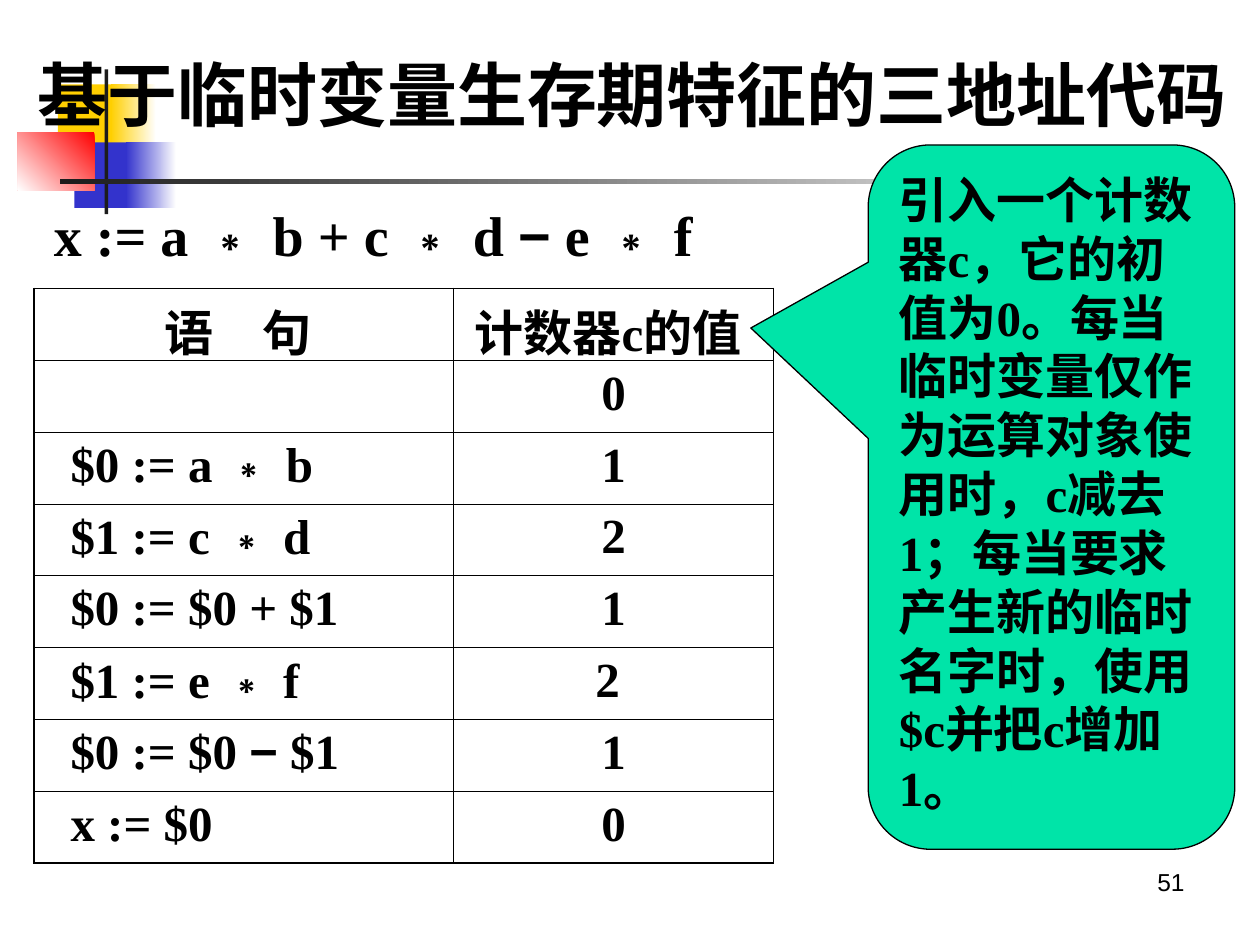
from itertools import groupby

from lxml.etree import SubElement
from pptx import Presentation
from pptx.dml.color import RGBColor
from pptx.enum.shapes import MSO_SHAPE as SHAPE
from pptx.enum.text import MSO_ANCHOR as ANCHOR, PP_ALIGN as ALIGN
from pptx.oxml.ns import qn
from pptx.util import Inches, Pt

BLACK = RGBColor(0x00, 0x00, 0x00)
WHITE = RGBColor(0xFF, 0xFF, 0xFF)
YELLOW = RGBColor(0xFF, 0xCF, 0x01)
BLUE = RGBColor(0x33, 0x33, 0xCC)
RED = RGBColor(0xFF, 0x00, 0x00)
CHARCOAL = RGBColor(0x1C, 0x1C, 0x1C)
MINT = RGBColor(0x00, 0xE4, 0xA8)

SERIF, SANS = "Times New Roman", "Arial"
MATH_SIGNS = "∗−"
THIN, THICK = Pt(0.45), Pt(1.08)

ROWS = [
    ("语　句 ", "计数器c的值 "),
    ("", "0"),
    ("$0 := a ∗ b", "1"),
    ("$1 := c ∗ d", "2"),
    ("$0 := $0 + $1", "1"),
    ("$1 := e ∗ f", "2 "),
    ("$0 := $0 − $1", "1"),
    ("x := $0", "0"),
]
COUNTER_RULE = ("引入一个计数器c，它的初值为0。每当临时变量仅作为运算对象使用时，"
                "c减去1；每当要求产生新的临时名字时，使用$c并把c增加1。")


class Slide:
    """The current slide and its style."""

    def __init__(self, prs):
        self.s = prs.slides.add_slide(prs.slide_layouts[6])

    def fill_text(self, tf, text, size, align=ALIGN.LEFT, font=SERIF, bold=True):
        """Fill a frame with one paragraph; math signs get the sans font."""
        tf.word_wrap = True
        p = tf.paragraphs[0]
        p.alignment = align
        p.font.name, p.font.size, p.font.bold = font, Pt(size), bold
        p.font.color.rgb = BLACK
        for is_sign, chars in groupby(text, lambda ch: ch in MATH_SIGNS):
            r = p.add_run()
            r.text = "".join(chars)
            if is_sign:
                r.font.name = SANS

    def text(self, box, text, size, anchor=ANCHOR.TOP, **style):
        tf = self.s.shapes.add_textbox(*map(Inches, box)).text_frame
        tf.vertical_anchor = anchor
        self.fill_text(tf, text, size, **style)

    def shape(self, kind, box, color):
        sp = self.s.shapes.add_shape(kind, *map(Inches, box))
        sp.shadow.inherit = False
        sp.fill.solid()
        sp.fill.fore_color.rgb = color
        sp.line.fill.background()
        return sp

    def fade(self, box, start, end, angle=180):
        fill = self.shape(SHAPE.RECTANGLE, box, start).fill
        fill.gradient()
        fill.gradient_angle = angle
        for stop, color in zip(fill.gradient_stops, (start, end)):
            stop.color.rgb = color

    def callout(self, box, text, size, color, adjustments):
        sp = self.shape(SHAPE.ROUNDED_RECTANGULAR_CALLOUT, box, color)
        sp.line.color.rgb = BLACK
        sp.line.width = Pt(0.75)
        for i, value in enumerate(adjustments):
            sp.adjustments[i] = value
        sp.text_frame.vertical_anchor = ANCHOR.TOP
        self.fill_text(sp.text_frame, text, size)

    def border(self, cell, side, width):
        ln = SubElement(cell._tc.get_or_add_tcPr(), qn(f"a:ln{side}"), w=str(width))
        SubElement(SubElement(ln, qn("a:solidFill")), qn("a:srgbClr"), val=str(BLACK))

    def table(self, left, top, widths, row_height, rows, size):
        n, m = len(rows), len(widths)
        frame = self.s.shapes.add_table(n, m, Inches(left), Inches(top),
                                        Inches(sum(widths)), Inches(row_height * n))
        tbl = frame.table
        tbl.first_row = tbl.horz_banding = False
        for column, width in zip(tbl.columns, widths):
            column.width = Inches(width)
        for i, row in enumerate(rows):
            tbl.rows[i].height = Inches(row_height)
            for j, text in enumerate(row):
                cell = tbl.cell(i, j)
                # Thick outer frame, thin inner grid
                outer = {"L": j == 0, "R": j == m - 1, "T": i == 0, "B": i == n - 1}
                for side, is_outer in outer.items():
                    self.border(cell, side, THICK if is_outer else THIN)
                cell.fill.background()
                # Statements are indented, everything else is centred
                is_statement = i > 0 and j == 0
                if is_statement:
                    cell.margin_left = Inches(0.29)
                self.fill_text(cell.text_frame, text, size,
                               ALIGN.LEFT if is_statement else ALIGN.CENTER)


def main():
    prs = Presentation()
    prs.slide_width, prs.slide_height = Inches(10), Inches(7.5)
    slide = Slide(prs)

    # Corner decoration and title rule
    slide.shape(SHAPE.RECTANGLE, (0.46, 0.67, 0.48, 0.52), YELLOW)
    slide.fade((0.88, 0.67, 0.36, 0.52), WHITE, YELLOW)
    slide.shape(SHAPE.RECTANGLE, (0.59, 1.13, 0.46, 0.52), BLUE)
    slide.fade((1, 1.13, 0.4, 0.52), WHITE, BLUE)
    slide.fade((0.14, 1.05, 0.61, 0.46), RED, WHITE, angle=225)
    slide.shape(SHAPE.RECTANGLE, (0.83, 0.55, 0.03, 1.15), CHARCOAL)
    slide.fade((0.48, 1.42, 9, 0.04), WHITE, CHARCOAL)

    # Page number, title and expression
    slide.text((7.17, 6.83, 2.33, 0.52), "51", 14,
               align=ALIGN.RIGHT, font=SANS, bold=False)
    slide.text((0.2, 0.25, 9.73, 0.98), "基于临时变量生存期特征的三地址代码", 40,
               anchor=ANCHOR.MIDDLE)
    slide.text((0.33, 1.54, 9.42, 5.25), "x := a ∗ b + c ∗ d − e ∗ f", 32)

    # Statements with counter values, and the counter rule
    slide.table(0.27, 2.29, (3.33, 2.54), 0.57, ROWS, 28)
    slide.callout((6.89, 1.15, 2.91, 5.59), COUNTER_RULE, 28, MINT,
                  (-0.82, -0.24, 0.17))

    prs.save("out.pptx")


if __name__ == "__main__":
    main()
